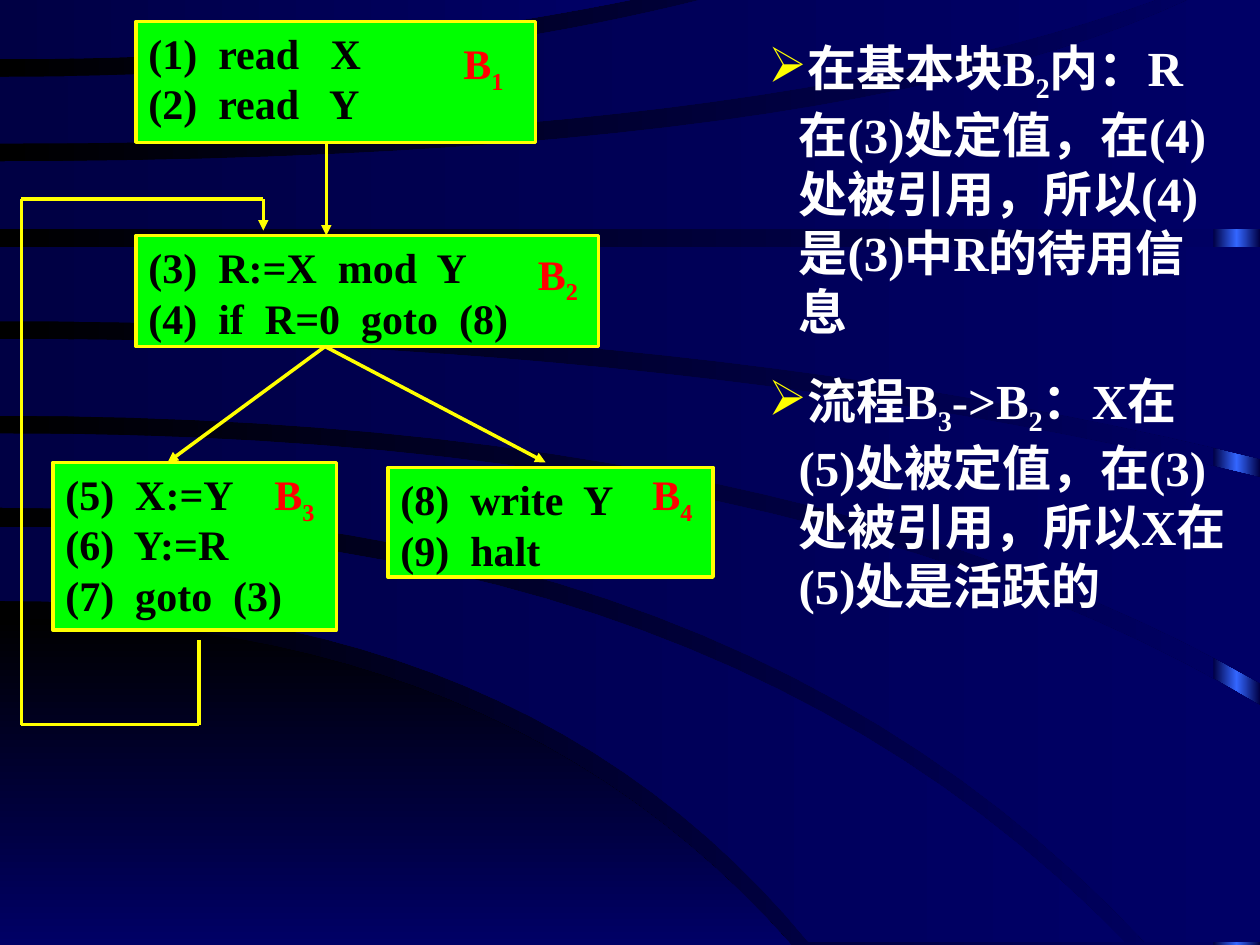
from copy import deepcopy
from itertools import pairwise

from lxml.etree import SubElement
from pptx import Presentation
from pptx.dml.color import RGBColor
from pptx.enum.shapes import MSO_CONNECTOR, MSO_SHAPE
from pptx.enum.text import MSO_ANCHOR, PP_ALIGN
from pptx.oxml.ns import qn
from pptx.util import Inches, Pt

BLACK = RGBColor(0x00, 0x00, 0x00)
NAVY = RGBColor(0x00, 0x00, 0x66)
DARK_NAVY = RGBColor(0x00, 0x00, 0x44)
BLUE = RGBColor(0x33, 0x66, 0xFF)
YELLOW = RGBColor(0xFF, 0xFF, 0x00)
GREEN = RGBColor(0x00, 0xFF, 0x00)
RED = RGBColor(0xFF, 0x00, 0x00)
WHITE = RGBColor(0xFF, 0xFF, 0xFF)

CORNER_SWEEP = ((4.91, 4, 6.28, 7.5), (7.5, 3, 6.28, 7.5))
SWEEPS = [
    ((4.18, 5.73, 8.93, 7.48), (4.77, 4.19, 6.42, 7.48)),
    ((3.44, 6.4, 10, 5.6), (4.03, 5.87, 9.09, 7.48), (10, 7.48)),
    ((2.69, 5.5, 10, 3.79), (3.3, 6.3, 10, 5.42)),
    ((1.96, 5, 10, 1.96), (2.55, 5.6, 10, 3.64)),
    ((1.28, 6.68, 9.43, 0), (1.82, 5, 10, 1.82), (10, 0)),
    ((0.61, 3.12, 5.56, 0), (1.14, 6, 9.17, 0)),
    ((0, 2.5, 5, 0), (0.47, 2.7, 5, 0)),
]

BLOCKS = [
    ((1.08, 0.17, 3.17, 0.96), ["(1)  read   X", "(2)  read   Y"], (3.58, 0.25)),
    ((1.08, 1.87, 3.67, 0.88), ["(3)  R:=X  mod  Y", "(4)  if  R=0  goto  (8)"], (4.17, 1.92)),
    ((0.42, 3.67, 2.25, 1.33), ["(5)  X:=Y", "(6)  Y:=R", "(7)  goto  (3)"], (2.08, 3.67)),
    ((3.08, 3.71, 2.58, 0.87), ["(8)  write  Y", "(9)  halt"], (5.08, 3.67)),
]
ARROWS = [
    [(2.59, 1.12), (2.59, 1.87)],
    [(1.58, 5.08), (1.58, 5.75), (0.17, 5.75), (0.17, 1.58), (2.09, 1.58), (2.09, 1.83)],
    [(2.58, 2.75), (1.33, 3.67)],
    [(2.58, 2.75), (4.33, 3.67)],
]
NOTES = [
    [("在基本块B", False), ("2", True),
     ("内：R在(3)处定值，在(4)处被引用，所以(4)是(3)中R的待用信息", False)],
    [("流程B", False), ("3", True), ("->B", False), ("2", True),
     ("：X在(5)处被定值，在(3)处被引用，所以X在(5)处是活跃的", False)],
]


def curve(start_y, bend_x, end_x, end_y, steps=24):
    """Return points of an arc that leaves the left edge horizontally."""
    points = []
    for step in range(steps + 1):
        t = step / steps
        x = 2 * t * (1 - t) * bend_x + t * t * end_x
        y = start_y + t * t * (end_y - start_y)
        points.append((Inches(x), Inches(y)))
    return points


class FlowSlide:
    """Draws the elements of a flow graph slide in one shared style."""

    font_name = "Times New Roman"
    line_width = Pt(2)

    def __init__(self, presentation):
        self.slide = presentation.slides.add_slide(presentation.slide_layouts[6])
        self.shapes = self.slide.shapes

    def gradient(self, fill, colors, angle=0):
        fill.gradient()
        fill.gradient_angle = angle
        if len(colors) == 3:
            last = fill.gradient_stops[1]._gs
            last.addprevious(deepcopy(last))
        for index, (stop, color) in enumerate(zip(fill.gradient_stops, colors)):
            stop.position = index / (len(colors) - 1)
            stop.color.rgb = color

    def background_shape(self, shape, colors, angle=0):
        shape.shadow.inherit = False
        shape.line.fill.background()
        self.gradient(shape.fill, colors, angle)

    def stripe(self, box, colors):
        shape = self.shapes.add_shape(MSO_SHAPE.RECTANGLE, *map(Inches, box))
        self.background_shape(shape, colors)

    def sweep(self, edges, colors, angle=0):
        upper, lower, *corners = edges
        points = curve(*upper)
        points += [(Inches(x), Inches(y)) for x, y in corners]
        points += reversed(curve(*lower))
        builder = self.shapes.build_freeform(*points[0])
        builder.add_line_segments(points[1:], close=True)
        self.background_shape(builder.convert_to_shape(), colors, angle)

    def add_runs(self, paragraph, runs, size, color):
        paragraph.alignment = PP_ALIGN.LEFT
        for text, subscript in runs:
            run = paragraph.add_run()
            run.text = text
            run.font.name = self.font_name
            run.font.size = Pt(size)
            run.font.bold = True
            run.font.color.rgb = color
            if subscript:
                run.font._element.set("baseline", "-25000")

    def fill_text(self, shape, paragraphs, size, color, space=0):
        frame = shape.text_frame
        frame.word_wrap = True
        frame.vertical_anchor = MSO_ANCHOR.TOP
        for index, runs in enumerate(paragraphs):
            paragraph = frame.add_paragraph() if index else frame.paragraphs[0]
            paragraph.space_before = Pt(space)
            self.add_runs(paragraph, runs, size, color)
        return frame.paragraphs

    def block(self, box, lines):
        shape = self.shapes.add_shape(MSO_SHAPE.RECTANGLE, *map(Inches, box))
        shape.shadow.inherit = False
        shape.fill.solid()
        shape.fill.fore_color.rgb = GREEN
        shape.line.color.rgb = YELLOW
        shape.line.width = self.line_width
        self.fill_text(shape, [[(line, False)] for line in lines], 24, BLACK)

    def label(self, position, number):
        shape = self.shapes.add_textbox(*map(Inches, (*position, 0.67, 0.56)))
        self.fill_text(shape, [[("B", False), (str(number), True)]], 24, RED, 15)

    def bullets(self, box, paragraphs):
        shape = self.shapes.add_textbox(*map(Inches, box))
        for paragraph in self.fill_text(shape, paragraphs, 28, WHITE, 17.5):
            properties = paragraph._p.get_or_add_pPr()
            properties.set("marL", str(Inches(0.24)))
            properties.set("indent", str(-Inches(0.24)))
            color = SubElement(properties, qn("a:buClr"))
            SubElement(color, qn("a:srgbClr"), val=str(YELLOW))
            SubElement(properties, qn("a:buChar"), char="➢")

    def arrow(self, points):
        for start, end in pairwise(points):
            connector = self.shapes.add_connector(
                MSO_CONNECTOR.STRAIGHT, *map(Inches, (*start, *end)))
            connector.line.color.rgb = YELLOW
            connector.line.width = self.line_width
            SubElement(connector._element.spPr, qn("a:effectLst"))
        SubElement(connector.line._get_or_add_ln(), qn("a:tailEnd"), type="triangle")


presentation = Presentation()
presentation.slide_width = Inches(10)
presentation.slide_height = Inches(7.5)

flow = FlowSlide(presentation)
flow.gradient(flow.slide.background.fill, [BLACK, NAVY])
flow.stripe((9.63, 0, 0.37, 7.5), [DARK_NAVY, BLUE, DARK_NAVY])
flow.sweep(CORNER_SWEEP, [BLACK, NAVY], 270)
for edges in SWEEPS:
    flow.sweep(edges, [DARK_NAVY, NAVY])

flow.bullets((6, 0.25, 3.83, 4.68), NOTES)
for box, lines, _ in BLOCKS:
    flow.block(box, lines)
for points in ARROWS:
    flow.arrow(points)
for number, (_, _, position) in enumerate(BLOCKS, 1):
    flow.label(position, number)

presentation.save("out.pptx")
